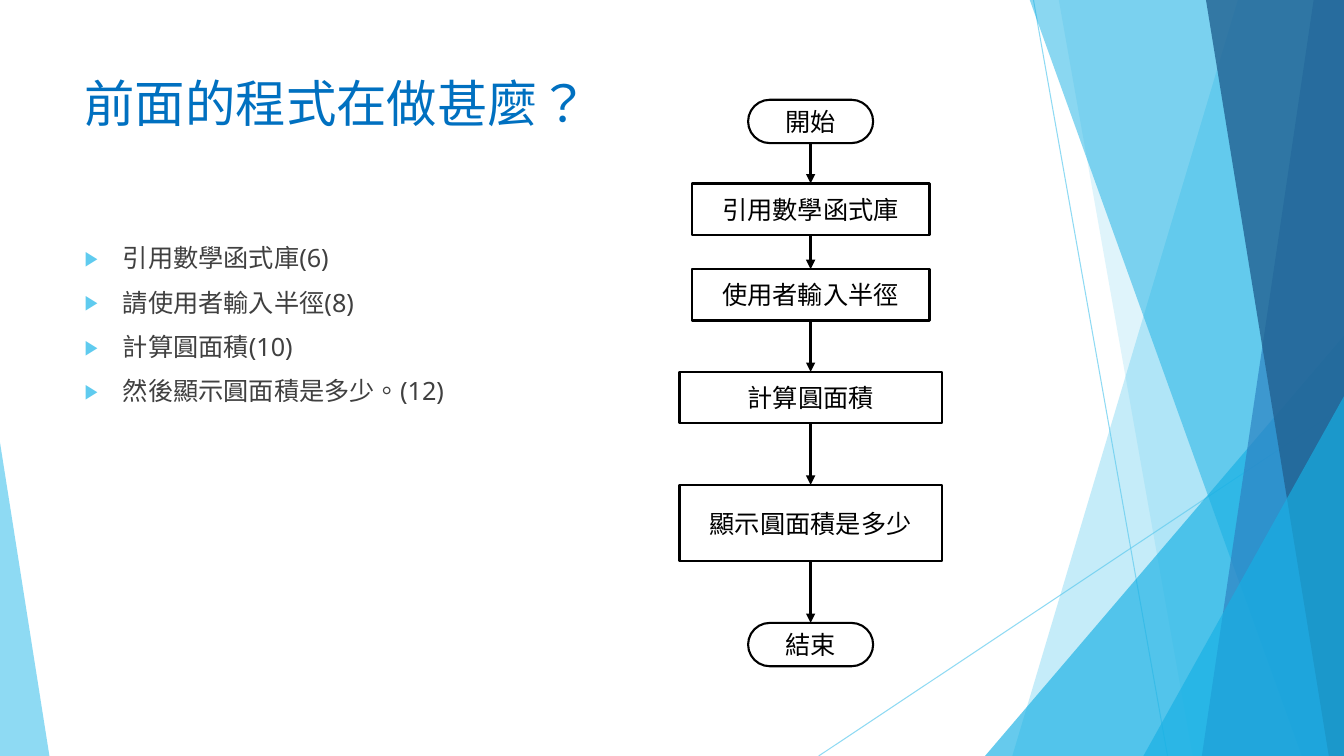
from itertools import pairwise

from lxml.etree import SubElement
from pptx import Presentation
from pptx.dml.color import RGBColor
from pptx.enum.shapes import MSO_CONNECTOR, MSO_SHAPE
from pptx.enum.text import MSO_ANCHOR, PP_ALIGN
from pptx.oxml.ns import qn
from pptx.util import Pt

PX = 9144  # 100 px to the inch
WIDTH, HEIGHT = 1333, 750
FONT = "Noto Sans"
BLACK = RGBColor(0x00, 0x00, 0x00)
WHITE = RGBColor(0xFF, 0xFF, 0xFF)
TITLE_BLUE = RGBColor(0x00, 0x70, 0xC0)
BODY_GREY = RGBColor(0x40, 0x40, 0x40)
SKY = RGBColor(0x5F, 0xCB, 0xEF)
CYAN = RGBColor(0x17, 0xB0, 0xE4)
BLUE = RGBColor(0x2E, 0x83, 0xC3)
NAVY = RGBColor(0x22, 0x62, 0x92)

TITLE = "前面的程式在做甚麼？"
STEPS = ["引用數學函式庫(6)", "請使用者輸入半徑(8)", "計算圓面積(10)",
         "然後顯示圓面積是多少。(12)"]
# text, preset, top, width, height
FLOW = [
    ("開始", MSO_SHAPE.ROUNDED_RECTANGLE, 0, 124, 43),
    ("引用數學函式庫", MSO_SHAPE.RECTANGLE, 83, 236, 51),
    ("使用者輸入半徑", MSO_SHAPE.RECTANGLE, 168, 236, 51),
    ("計算圓面積", MSO_SHAPE.RECTANGLE, 270, 260, 51),
    ("顯示圓面積是多少", MSO_SHAPE.RECTANGLE, 382, 260, 76),
    ("結束", MSO_SHAPE.ROUNDED_RECTANGLE, 519, 124, 43),
]


def emu(*lengths):
    return [n * PX for n in lengths]


def set_alpha(fill_parent, percent):
    color = next(fill_parent.iter(qn("a:srgbClr")))
    SubElement(color, qn("a:alpha"), val=str(percent * 1000))


def paint(s, color, alpha):
    s.shadow.inherit = False
    s.fill.solid()
    s.fill.fore_color.rgb = color
    set_alpha(s._element.spPr, alpha)
    s.line.fill.background()


def add_line(slide, start, end, color, width):
    c = slide.shapes.add_connector(MSO_CONNECTOR.STRAIGHT, *emu(*start, *end))
    c.line.color.rgb = color
    c.line.width = Pt(width)
    SubElement(c._element.spPr, qn("a:effectLst"))
    return c


def add_band(slide, top_x, bottom_x, color, alpha):
    """Fill from a slanted edge to the right side of the slide."""
    builder = slide.shapes.build_freeform(top_x, -1, scale=PX)
    builder.add_line_segments(
        [(WIDTH, -1), (WIDTH, HEIGHT), (bottom_x, HEIGHT)], close=True)
    paint(builder.convert_to_shape(), color, alpha)


def add_corner(slide, x, width, height, apex, color, alpha):
    """Stand a right triangle on the bottom edge; apex is 0 left or 1 right."""
    s = slide.shapes.add_shape(MSO_SHAPE.ISOSCELES_TRIANGLE,
                               *emu(x, HEIGHT - height, width, height))
    s.adjustments[0] = apex
    paint(s, color, alpha)


def write(p, text, size=18, color=BLACK, align=PP_ALIGN.LEFT):
    p.alignment = align
    r = p.add_run()
    r.text = text
    r.font.size = Pt(size)
    r.font.name = FONT
    r.font.color.rgb = color
    rPr = r._r.get_or_add_rPr()
    rPr.set("lang", "zh-TW")
    SubElement(rPr, qn("a:ea"), typeface=FONT)


def add_bullet(p):
    p.space_before = Pt(10)
    pPr = p._p.get_or_add_pPr()
    pPr.set("marL", str(38 * PX))
    pPr.set("indent", str(-38 * PX))
    SubElement(SubElement(pPr, qn("a:buClr")), qn("a:srgbClr"), val=str(SKY))
    SubElement(pPr, qn("a:buSzPct"), val="80000")
    SubElement(pPr, qn("a:buFont"), typeface=FONT)
    SubElement(pPr, qn("a:buChar"), char="▶")


def add_text_frame(slide, box):
    tf = slide.shapes.add_textbox(*emu(*box)).text_frame
    tf.word_wrap = True
    return tf


def draw_background(slide):
    for start, end in [((1025, 0), (1158, HEIGHT)), ((WIDTH, 403), (812, HEIGHT))]:
        c = add_line(slide, start, end, SKY, 0.75)
        set_alpha(c._element.spPr, 70)
    add_band(slide, 1228, 1004, SKY, 36)
    add_band(slide, 1050, 1183, SKY, 20)
    add_corner(slide, 977, 356, 417, 1, CYAN, 66)
    add_band(slide, 1021, 1291, CYAN, 50)
    add_band(slide, 1303, 1192, BLUE, 70)
    add_band(slide, 1196, 1318, NAVY, 80)
    add_corner(slide, 1134, 199, 357, 1, CYAN, 66)
    add_corner(slide, 0, 49, 311, 0, SKY, 70)


def draw_title(slide, box):
    tf = add_text_frame(slide, box)
    write(tf.paragraphs[0], TITLE, size=36, color=TITLE_BLUE)


def draw_steps(slide, box):
    tf = add_text_frame(slide, box)
    for i, step in enumerate(STEPS):
        p = tf.add_paragraph() if i else tf.paragraphs[0]
        write(p, step, color=BODY_GREY)
        add_bullet(p)


def add_flow_box(slide, text, preset, box):
    s = slide.shapes.add_shape(preset, *emu(*box))
    s.shadow.inherit = False
    s.fill.solid()
    s.fill.fore_color.rgb = WHITE
    s.line.color.rgb = BLACK
    s.line.width = Pt(1.5)
    if preset == MSO_SHAPE.ROUNDED_RECTANGLE:
        s.adjustments[0] = 0.5
    tf = s.text_frame
    tf.word_wrap = True
    tf.vertical_anchor = MSO_ANCHOR.MIDDLE
    write(tf.paragraphs[0], text, align=PP_ALIGN.CENTER)
    return s


def draw_flowchart(slide, box):
    x, y, w, _ = box
    nodes = [add_flow_box(slide, text, preset,
                          (x + (w - width) // 2, y + top, width, height))
             for text, preset, top, width, height in FLOW]
    for upper, lower in pairwise(nodes):
        c = add_line(slide, (x, y), (x, y), BLACK, 2.25)
        c.begin_connect(upper, 2)
        c.end_connect(lower, 0)
        SubElement(c.line._get_or_add_ln(), qn("a:tailEnd"), type="triangle")


def main():
    prs = Presentation()
    prs.slide_width, prs.slide_height = emu(WIDTH, HEIGHT)
    slide = prs.slides.add_slide(prs.slide_layouts[6])
    draw_background(slide)
    draw_title(slide, (74, 67, 940, 144))
    draw_steps(slide, (74, 236, 940, 424))
    draw_flowchart(slide, (674, 99, 260, 562))
    prs.save("out.pptx")


if __name__ == "__main__":
    main()
